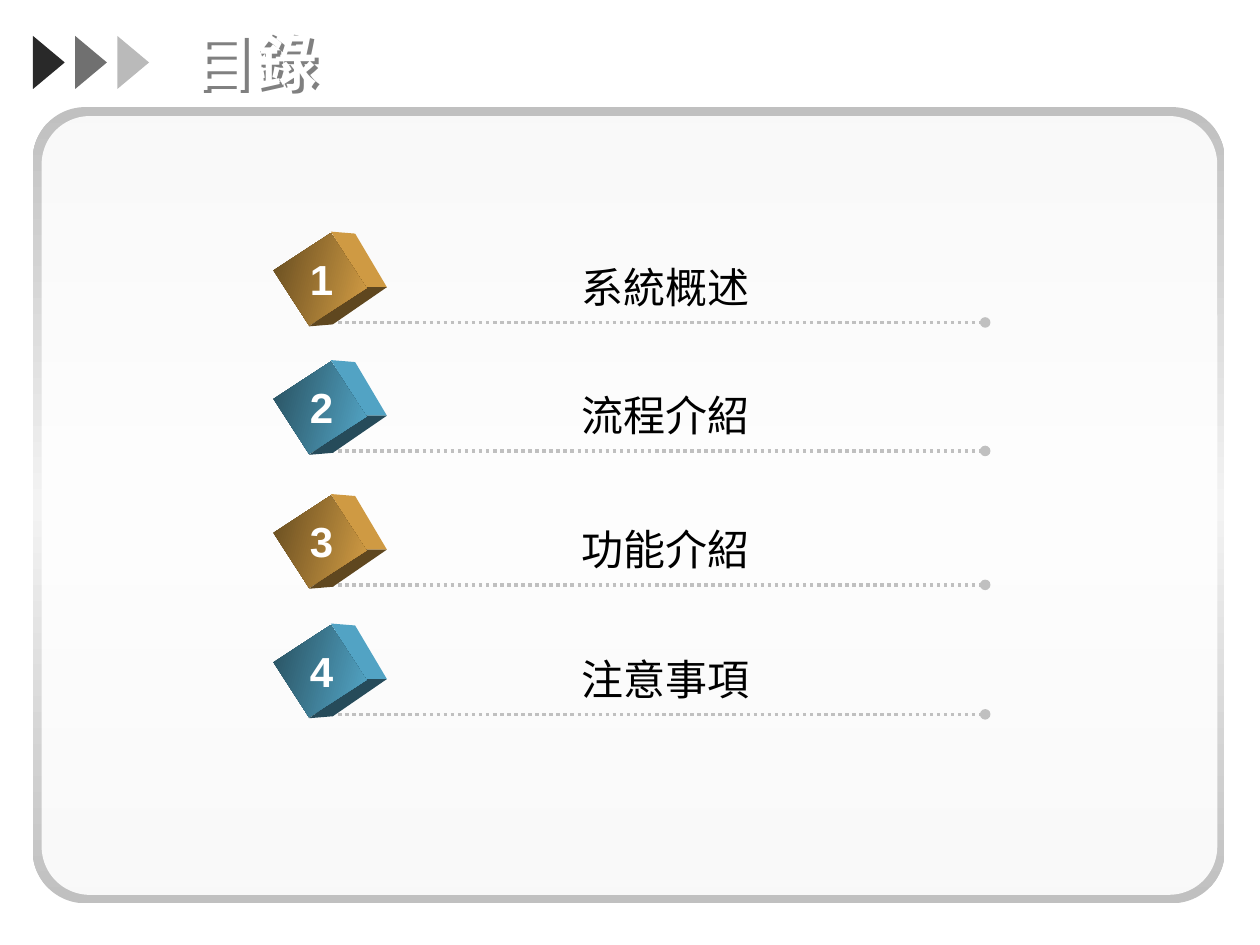
from lxml import etree
from pptx import Presentation
from pptx.dml.color import RGBColor
from pptx.enum import dml, shapes, text
from pptx.oxml import ns
from pptx.util import Cm, Pt

WHITE = RGBColor(0xFF, 0xFF, 0xFF)
BLACK = RGBColor(0, 0, 0)
SILVER = RGBColor(0xC0, 0xC0, 0xC0)
PALE = RGBColor(0xF3, 0xF3, 0xF3)
GREY = RGBColor(0x80, 0x80, 0x80)
GOLD = {"dark": RGBColor(0x66, 0x4C, 0x20), "light": RGBColor(0xD4, 0x9E, 0x45),
        "side": RGBColor(0xCF, 0x9A, 0x43), "base": RGBColor(0x5F, 0x47, 0x1F)}
BLUE = {"dark": RGBColor(0x28, 0x50, 0x5F), "light": RGBColor(0x54, 0xA7, 0xC8),
        "side": RGBColor(0x52, 0xA3, 0xC4), "base": RGBColor(0x26, 0x4B, 0x5A)}

TITLE = "目錄"
CHAPTERS = [
    ("系統概述", 6.5, GOLD),
    ("流程介紹", 9.09, BLUE),
    ("功能介紹", 11.79, GOLD),
    ("注意事項", 14.4, BLUE),
]
ARROW_OPACITIES = [84, 56, 27]
SIDE_FACE = [(6.67, -1.83), (7.16, -1.79), (7.8, -0.71), (7.34, -0.71)]
BASE_FACE = [(7.34, -0.71), (7.8, -0.71), (6.71, 0.04), (6.23, 0.08)]


def add_xml(parent, tag, **attributes):
    return etree.SubElement(parent, ns.qn(tag), attributes)


def paint(shape, color, opacity=100):
    shape.shadow.inherit = False
    shape.line.fill.background()
    shape.fill.solid()
    shape.fill.fore_color.rgb = color
    if opacity < 100:
        swatch = shape._element.spPr.find(".//" + ns.qn("a:srgbClr"))
        add_xml(swatch, "a:alpha", val=str(opacity * 1000))


def paint_gradient(shape, colors, angle):
    shape.shadow.inherit = False
    shape.line.fill.background()
    shape.fill.gradient()
    shape.fill.gradient_angle = angle
    stops = shape._element.spPr.find(".//" + ns.qn("a:gsLst"))
    for stop in list(stops):
        stops.remove(stop)
    for i, color in enumerate(colors):
        position = 100000 * i // (len(colors) - 1)
        stop = add_xml(stops, "a:gs", pos=str(position))
        add_xml(stop, "a:srgbClr", val=str(color))


def add_panel(slide, left, top, width, height, rounding):
    panel = slide.shapes.add_shape(shapes.MSO_SHAPE.ROUNDED_RECTANGLE,
                                   Cm(left), Cm(top), Cm(width), Cm(height))
    panel.adjustments[0] = rounding
    return panel


def add_face(group, points, baseline, color):
    corners = [(Cm(x), Cm(baseline + y)) for x, y in points]
    builder = group.shapes.build_freeform(*corners[0])
    builder.add_line_segments(corners[1:], close=True)
    paint(builder.convert_to_shape(), color)


def add_caption(group, wording, left, top, width, color, bold, wrap):
    box = group.shapes.add_textbox(Cm(left), Cm(top), Cm(width), Cm(1.27))
    frame = box.text_frame
    frame.text = wording
    frame.word_wrap = wrap
    paragraph = frame.paragraphs[0]
    paragraph.alignment = text.PP_ALIGN.CENTER
    font = paragraph.runs[0].font
    font.name, font.size, font.bold = "Arial", Pt(24), bold
    font.color.rgb = color


def add_rule(group, baseline):
    rule = group.shapes.add_connector(shapes.MSO_CONNECTOR.STRAIGHT, Cm(6.53),
                                      Cm(baseline), Cm(19.86), Cm(baseline))
    rule.line.color.rgb = SILVER
    rule.line.width = Pt(2)
    rule.line.dash_style = dml.MSO_LINE.ROUND_DOT
    add_xml(rule.line._get_or_add_ln(), "a:tailEnd", type="oval")
    add_xml(rule._element.spPr, "a:effectLst")


def add_chapter(slide, number, name, baseline, palette):
    group = slide.shapes.add_group_shape()
    add_rule(group, baseline)
    add_face(group, SIDE_FACE, baseline, palette["side"])
    add_face(group, BASE_FACE, baseline, palette["base"])
    front = group.shapes.add_shape(shapes.MSO_SHAPE.RECTANGLE, Cm(5.79),
                                   Cm(baseline - 1.56), Cm(1.32), Cm(1.38))
    front.rotation = 57
    paint_gradient(front, [palette["dark"], palette["light"]], 42)
    add_caption(group, name, 8, baseline - 1.36, 10.82, BLACK, False, True)
    add_caption(group, str(number), 5.99, baseline - 1.52, 0.99, WHITE, True, False)


def add_title(slide):
    title = slide.shapes.title
    title.left, title.top, title.width, title.height = Cm(3.61), Cm(0.43), Cm(21.16), Cm(1.57)
    title.text_frame.text = TITLE
    title.text_frame.vertical_anchor = text.MSO_ANCHOR.MIDDLE
    paragraph = title.text_frame.paragraphs[0]
    paragraph.alignment = text.PP_ALIGN.LEFT
    font = paragraph.runs[0].font
    font.name, font.size, font.bold = "Arial", Pt(36), True
    font.color.rgb = WHITE
    title.fill.background()
    title.line.fill.background()
    effects = add_xml(title._element.spPr, "a:effectLst")
    shadow = add_xml(effects, "a:outerShdw", dist="35921", dir="2700000",
                     algn="ctr", rotWithShape="0")
    add_xml(shadow, "a:srgbClr", val=str(GREY))


def main():
    deck = Presentation()
    deck.slide_width, deck.slide_height = Cm(25.4), Cm(19.05)
    slide = deck.slides.add_slide(deck.slide_layouts[5])
    add_title(slide)

    paint_gradient(add_panel(slide, 0.66, 2.16, 24.03, 16.05, 0.066),
                   [SILVER, PALE, SILVER], 270)
    paint(add_panel(slide, 0.84, 2.34, 23.7, 15.7, 0.062), WHITE, 90)

    for i, opacity in enumerate(ARROW_OPACITIES):
        arrow = slide.shapes.add_shape(shapes.MSO_SHAPE.ISOSCELES_TRIANGLE,
                                       Cm(0.45 + 0.85 * i), Cm(0.94), Cm(1.07), Cm(0.64))
        arrow.rotation = 90
        paint(arrow, BLACK, opacity)

    for number, (name, baseline, palette) in enumerate(CHAPTERS, 1):
        add_chapter(slide, number, name, baseline, palette)

    deck.save("out.pptx")


if __name__ == "__main__":
    main()
